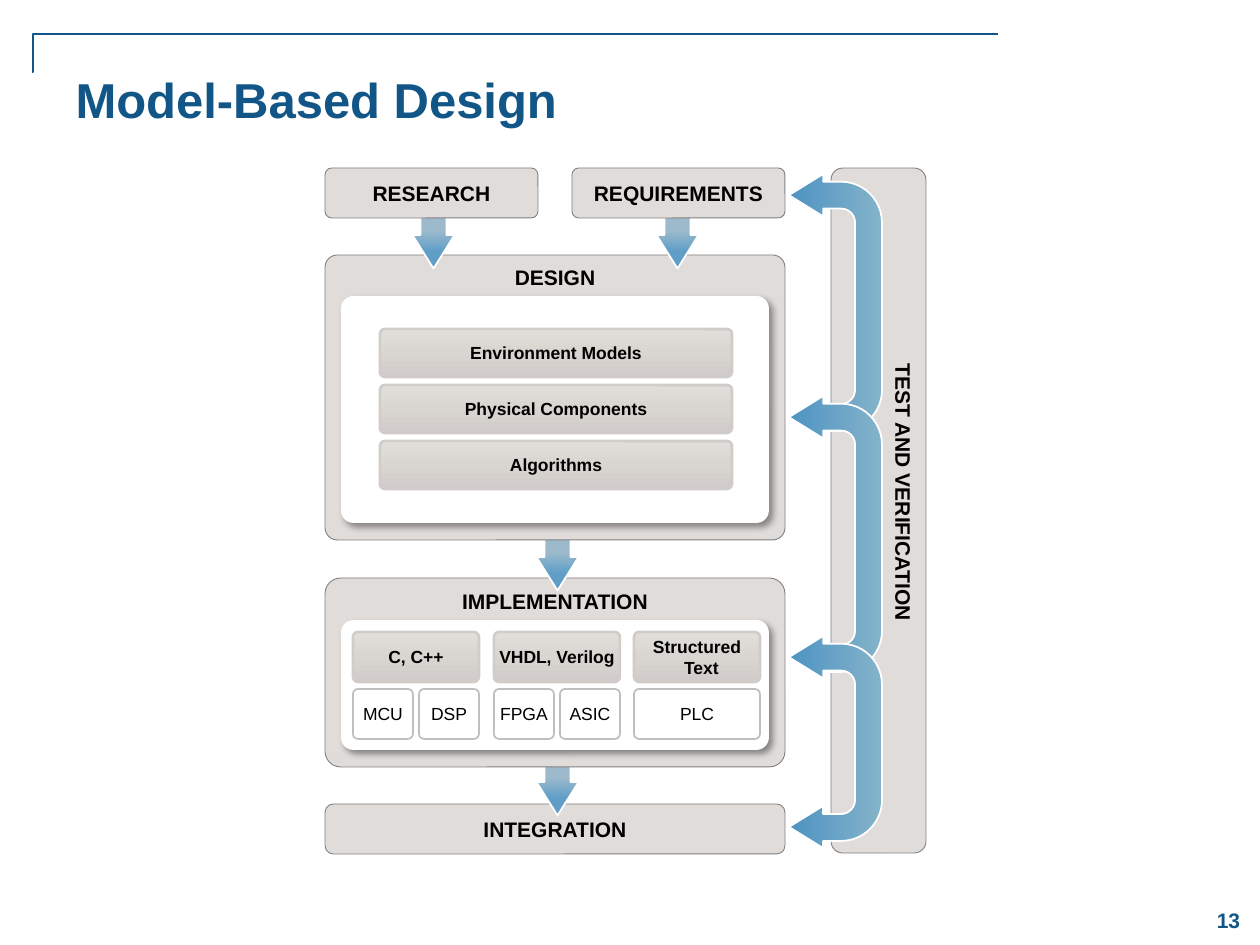
from math import cos, pi, sin

from lxml.etree import SubElement
from pptx import Presentation
from pptx.dml.color import RGBColor
from pptx.enum.shapes import MSO_CONNECTOR, MSO_SHAPE
from pptx.enum.text import MSO_ANCHOR, PP_ALIGN
from pptx.oxml.ns import qn
from pptx.util import Inches, Pt

SCALE = Inches(1) / 126

NAVY = RGBColor(0x12, 0x56, 0x87)
BLACK = RGBColor(0x00, 0x00, 0x00)
WHITE = RGBColor(0xFF, 0xFF, 0xFF)
STONE = RGBColor(0xE0, 0xDC, 0xDA)
GREY = RGBColor(0x80, 0x80, 0x80)
SILVER = RGBColor(0xBF, 0xBF, 0xBF)
SAND = RGBColor(0xD1, 0xCC, 0xC9)
PALE_SAND = RGBColor(0xE0, 0xDE, 0xD8)
MIST = RGBColor(0x9C, 0xBA, 0xCC)
SKY = RGBColor(0x60, 0x9E, 0xC8)
BLUE = RGBColor(0x4E, 0x93, 0xC2)
PALE_BLUE = RGBColor(0x84, 0xB3, 0xCA)

TITLE = "Model-Based Design"
PAGE_NUMBER = "13"
SIDE_LABEL = "TEST AND VERIFICATION"

INTEGRATION = ("INTEGRATION", (325, 804, 460, 50), 0.167, MSO_ANCHOR.MIDDLE)
IMPLEMENTATION = ("IMPLEMENTATION", (325, 578, 460, 189), 0.083, MSO_ANCHOR.TOP)
DESIGN = ("DESIGN", (325, 255, 460, 285), 0.043, MSO_ANCHOR.TOP)
VERIFICATION = ("", (831, 168, 95, 685), 0.124, MSO_ANCHOR.TOP)
INPUTS = [
    ("RESEARCH", (325, 168, 213, 50), 0.135, MSO_ANCHOR.MIDDLE),
    ("REQUIREMENTS", (572, 168, 213, 50), 0.135, MSO_ANCHOR.MIDDLE),
]
INPUT_ARROW_CENTRES = [433, 677]

MODELS = ["Environment Models", "Physical Components", "Algorithms"]
LANGUAGES = [
    ("C, C++", 353, ["MCU", "DSP"]),
    ("VHDL, Verilog", 494, ["FPGA", "ASIC"]),
    ("Structured Text", 634, ["PLC"]),
]
COLUMN_WIDTH, TARGET_GAP = 126, 6
FEEDBACK_LOOPS = [(174, 438, 175), (396, 679, 175), (636, 848, 137)]

SAND_GRADIENT = ((0, SAND), (1, PALE_SAND), 90)
FLOW_GRADIENT = ((0.6, MIST), (0.82, SKY), 0)


def px(*values):
    return [round(value * SCALE) for value in values]


def assign(target, values):
    for name, value in values.items():
        setattr(target, name, value)


def write(box, text, size, color, bold, align, anchor, inset=None, wrap=True):
    frame = box.text_frame
    assign(frame, {"word_wrap": wrap, "vertical_anchor": anchor})
    if inset is not None:
        margin = Inches(inset)
        assign(frame, {"margin_left": margin, "margin_right": margin,
                       "margin_top": margin, "margin_bottom": margin})
    para = frame.paragraphs[0]
    para.alignment = align
    span = para.add_run()
    span.text = text
    assign(span.font, {"name": "Arial", "size": Pt(size), "bold": bold})
    span.font.color.rgb = color
    return para


def paint(shape, fill, line=None, width=1):
    shape.shadow.inherit = False
    if isinstance(fill, RGBColor):
        shape.fill.solid()
        shape.fill.fore_color.rgb = fill
    else:
        *stops, angle = fill
        shape.fill.gradient()
        shape.fill.gradient_angle = angle
        for stop, (position, color) in zip(shape.fill.gradient_stops, stops):
            stop.position = position
            stop.color.rgb = color
    if line is None:
        shape.line.fill.background()
    else:
        shape.line.color.rgb = line
        shape.line.width = Pt(width)


def add_preset(kind, area, adjustments, fill, line=None, width=1):
    shape = page.shapes.add_shape(kind, *px(*area))
    for index, value in enumerate(adjustments):
        shape.adjustments[index] = value
    paint(shape, fill, line, width)
    return shape


def add_stage(label, area, corner, anchor):
    box = add_preset(MSO_SHAPE.ROUNDED_RECTANGLE, area, [corner], STONE, GREY, 0.5)
    if label:
        write(box, label, 12, BLACK, True, PP_ALIGN.CENTER, anchor)


def add_panel(area, corner):
    panel = add_preset(MSO_SHAPE.ROUNDED_RECTANGLE, area, [corner], WHITE)
    effects = panel._element.spPr.find(qn("a:effectLst"))
    shadow = SubElement(effects, qn("a:outerShdw"), blurRad=str(Pt(4)),
                        dist=str(Pt(3)), dir="2700000", algn="tl", rotWithShape="0")
    color = SubElement(shadow, qn("a:srgbClr"), val="000000")
    SubElement(color, qn("a:alpha"), val="40000")


def add_flow_arrow(centre_x, centre_y):
    arrow = add_preset(MSO_SHAPE.LEFT_RIGHT_ARROW, (centre_x - 47, centre_y - 21, 95, 42),
                       [0.614, 0.798], FLOW_GRADIENT, WHITE)
    arrow.rotation = 90


def add_tile(label, area):
    tile = add_preset(MSO_SHAPE.ROUNDED_RECTANGLE, area, [0.102], SAND_GRADIENT, SAND, 1.5)
    para = write(tile, label, 10, BLACK, True, PP_ALIGN.CENTER, MSO_ANCHOR.MIDDLE, 0.01)
    indent = Inches(0.07)
    properties = para._p.get_or_add_pPr()
    properties.set("marL", str(indent))
    properties.set("indent", str(-indent))


def add_target(label, area):
    tile = add_preset(MSO_SHAPE.ROUNDED_RECTANGLE, area, [0.102], WHITE, SILVER)
    write(tile, label, 10, BLACK, False, PP_ALIGN.CENTER, MSO_ANCHOR.MIDDLE, 0)


def arc(centre_x, centre_y, radius, start, end, steps=16):
    angles = [start + (end - start) * step / steps for step in range(steps + 1)]
    return [(centre_x + radius * cos(angle), centre_y + radius * sin(angle))
            for angle in angles]


def add_feedback_loop(top, bottom, height):
    upper = add_preset(MSO_SHAPE.BENT_ARROW, (789, top, 93, height),
                       [0.289, 0.228, 0.368, 0.438],
                       ((0, BLUE), (1, PALE_BLUE), 180), WHITE)
    upper._element.spPr.find(qn("a:xfrm")).set("flipH", "1")

    start, bend = bottom - height, bottom - 48
    head = [(823, bottom - 7), (823, bottom), (789, bottom - 21),
            (823, bottom - 42), (823, bottom - 34)]
    outline = [(882, start), *arc(841, bend, 41, 0, pi / 2), *head,
               *arc(841, bend, 14, pi / 2, 0), (855, start)]
    first, *rest = [px(*point) for point in outline]
    builder = page.shapes.build_freeform(*first, scale=1.0)
    builder.add_line_segments(rest, close=False)
    paint(builder.convert_to_shape(), ((0, BLUE), (1, PALE_BLUE), 0), WHITE)


deck = Presentation()
assign(deck, {"slide_width": Inches(10), "slide_height": Inches(7.5)})
page = deck.slides.add_slide(deck.slide_layouts[5])

rule = page.shapes.add_connector(MSO_CONNECTOR.ELBOW, *px(998, 34, 32, 72))
rule.line.color.rgb = NAVY
rule.line.width = Pt(1)
SubElement(rule._element.spPr, qn("a:effectLst"))
guides = rule._element.spPr.find(qn("a:prstGeom")).find(qn("a:avLst"))
SubElement(guides, qn("a:gd"), name="adj1", fmla="val 99900")

title = page.shapes.title
assign(title, dict(zip(("left", "top", "width", "height"), px(63, 63, 1113, 136))))
write(title, TITLE, 28, NAVY, True, PP_ALIGN.LEFT, MSO_ANCHOR.TOP)

number = page.shapes.add_textbox(*px(1197, 894, 63, 53))
write(number, PAGE_NUMBER, 12, NAVY, True, PP_ALIGN.CENTER, MSO_ANCHOR.MIDDLE)

add_stage(*INTEGRATION)
add_flow_arrow(557, 768)
add_stage(*IMPLEMENTATION)
add_flow_arrow(557, 543)
add_panel((341, 620, 428, 130), 0.097)
add_stage(*VERIFICATION)
add_stage(*DESIGN)
add_panel((341, 296, 428, 227), 0.055)
for centre in INPUT_ARROW_CENTRES:
    add_flow_arrow(centre, 221)

side = page.shapes.add_textbox(*px(761, 475, 285, 38))
side.rotation = 90
write(side, SIDE_LABEL, 12, BLACK, True, PP_ALIGN.LEFT, MSO_ANCHOR.TOP, wrap=False)

for stage in INPUTS:
    add_stage(*stage)
for row, model in enumerate(MODELS):
    add_tile(model, (380, 329 + 56 * row, 352, 48))
for language, left, targets in LANGUAGES:
    add_tile(language, (left, 632, COLUMN_WIDTH, 50))
    target_width = (COLUMN_WIDTH - TARGET_GAP * (len(targets) - 1)) // len(targets)
    for column, target in enumerate(targets):
        target_left = left + column * (target_width + TARGET_GAP)
        add_target(target, (target_left, 689, target_width, 50))
for loop in FEEDBACK_LOOPS:
    add_feedback_loop(*loop)

deck.save("out.pptx")
